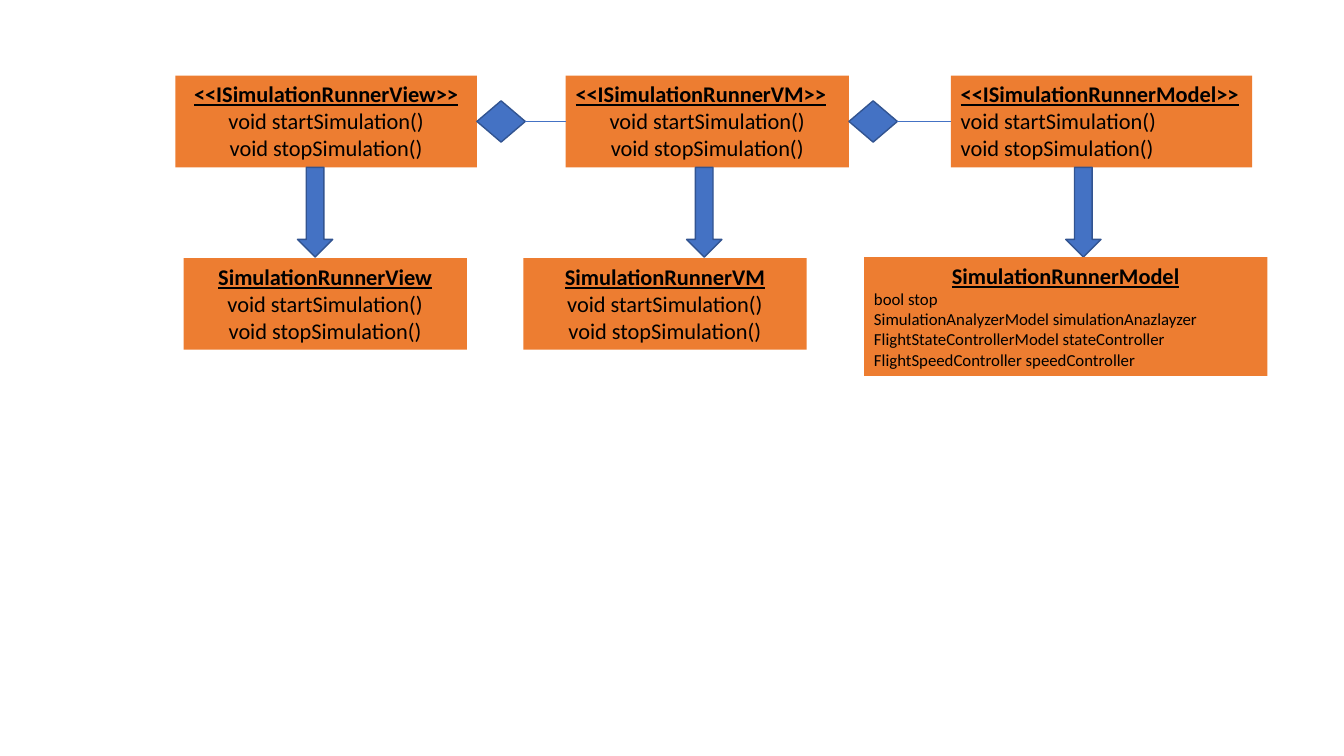
"""Class diagram of the simulation runner interfaces and their implementations."""
from lxml import etree
from pptx import Presentation
from pptx.dml.color import RGBColor
from pptx.enum.shapes import MSO_CONNECTOR, MSO_SHAPE
from pptx.enum.text import MSO_AUTO_SIZE, PP_ALIGN
from pptx.oxml.ns import qn
from pptx.util import Pt

PX = 9144
LEFT, CENTER, JUSTIFY = PP_ALIGN.LEFT, PP_ALIGN.CENTER, PP_ALIGN.JUSTIFY
DIAMOND, DOWN_ARROW = MSO_SHAPE.DIAMOND, MSO_SHAPE.DOWN_ARROW
STRAIGHT = MSO_CONNECTOR.STRAIGHT
FIT_SHAPE = MSO_AUTO_SIZE.SHAPE_TO_FIT_TEXT

THEME = {
    "font": "Calibri",
    "text": RGBColor(0x00, 0x00, 0x00),
    "box": RGBColor(0xED, 0x7D, 0x31),
    "accent": RGBColor(0x44, 0x72, 0xC4),
    "outline": RGBColor(0x32, 0x54, 0x91),
    "body": 16,
    "fields": 12,
}

METHODS = ["void startSimulation()", "void stopSimulation()"]
FIELDS = [
    "bool stop",
    "SimulationAnalyzerModel simulationAnazlayzer",
    "FlightStateControllerModel stateController",
    "FlightSpeedController speedController",
]

INTERFACES = [
    ("<<ISimulationRunnerView>>", (174, 75, 299, 91), CENTER, CENTER),
    ("<<ISimulationRunnerVM>>", (561, 75, 281, 91), JUSTIFY, CENTER),
    ("<<ISimulationRunnerModel>>", (943, 75, 299, 91), JUSTIFY, JUSTIFY),
]
CLASSES = [
    ("SimulationRunnerView", (182, 256, 281, 91), METHODS, "body", CENTER),
    ("SimulationRunnerVM", (519, 256, 281, 91), METHODS, "body", CENTER),
    ("SimulationRunnerModel", (857, 255, 400, 118), FIELDS, "fields", LEFT),
]
ARROW_LEFTS = [295, 681, 1057]


def add_class_box(s, name, rect, members, size, name_align, member_align):
    sp = s.shapes.add_textbox(*(v * PX for v in rect))
    sp.fill.solid()
    sp.fill.fore_color.rgb = THEME["box"]
    tf = sp.text_frame
    tf.word_wrap = True
    tf.auto_size = FIT_SHAPE
    for i, text in enumerate([name, *members]):
        is_name = i == 0
        p = tf.paragraphs[0] if is_name else tf.add_paragraph()
        p.alignment = name_align if is_name else member_align
        r = p.add_run()
        r.text = text
        r.font.name = THEME["font"]
        r.font.size = Pt(THEME["body" if is_name else size])
        r.font.color.rgb = THEME["text"]
        r.font.bold = is_name
        r.font.underline = is_name
    return sp


def add_marker(s, kind, *rect):
    sp = s.shapes.add_shape(kind, *(v * PX for v in rect))
    sp.shadow.inherit = False
    sp.fill.solid()
    sp.fill.fore_color.rgb = THEME["accent"]
    sp.line.color.rgb = THEME["outline"]
    sp.line.width = Pt(1)
    return sp


prs = Presentation()
prs.slide_width, prs.slide_height = 1333 * PX, 750 * PX
s = prs.slides.add_slide(prs.slide_layouts[6])

interface_boxes = [
    add_class_box(s, name, rect, METHODS, "body", name_align, member_align)
    for name, rect, name_align, member_align in INTERFACES
]

for (_, (left, _, width, _), _, _), target in zip(INTERFACES, interface_boxes[1:]):
    diamond = add_marker(s, DIAMOND, left + width, 100, 48, 41)
    link = s.shapes.add_connector(STRAIGHT, 0, 0, 0, 0)
    link.begin_connect(diamond, 3)
    link.end_connect(target, 1)
    link.line.color.rgb = THEME["accent"]
    link.line.width = Pt(0.5)
    etree.SubElement(link._element.spPr, qn("a:effectLst"))

for left in ARROW_LEFTS:
    add_marker(s, DOWN_ARROW, left, 166, 35, 89)

for name, rect, members, size, member_align in CLASSES:
    add_class_box(s, name, rect, members, size, CENTER, member_align)

prs.save("out.pptx")
